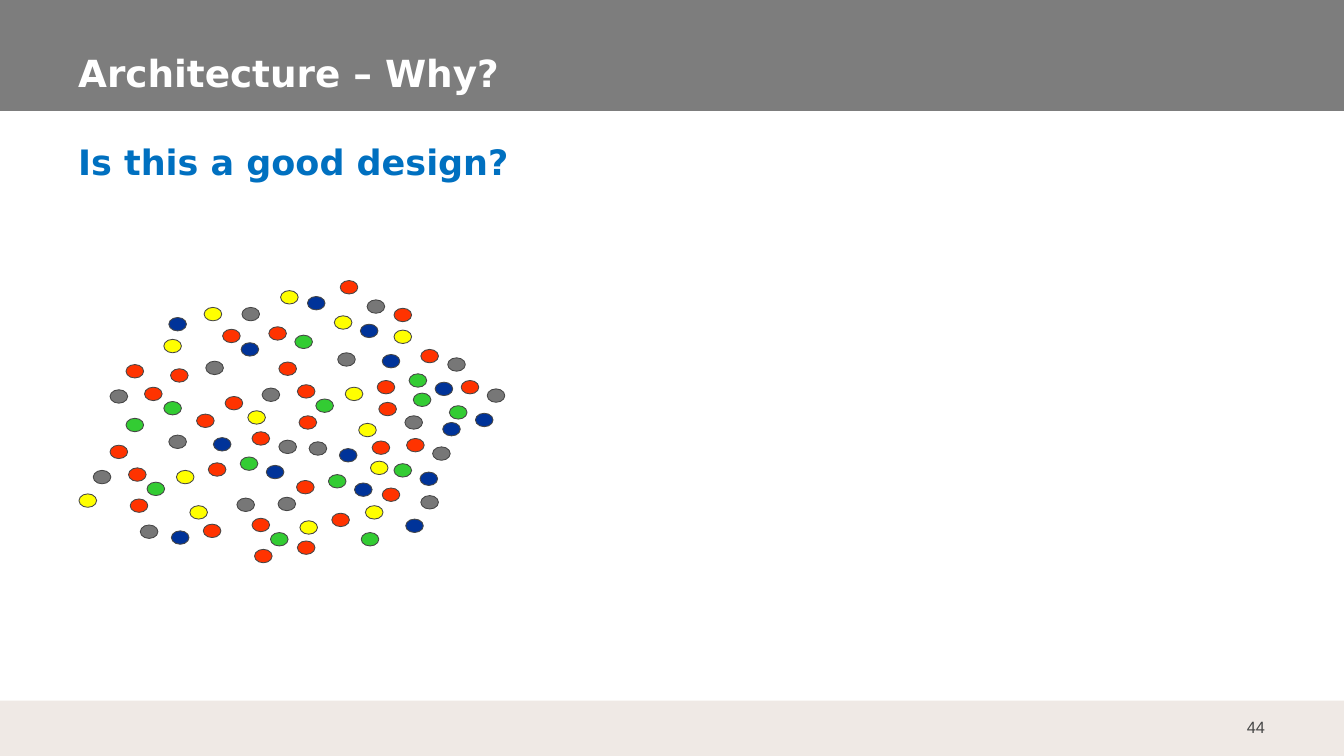
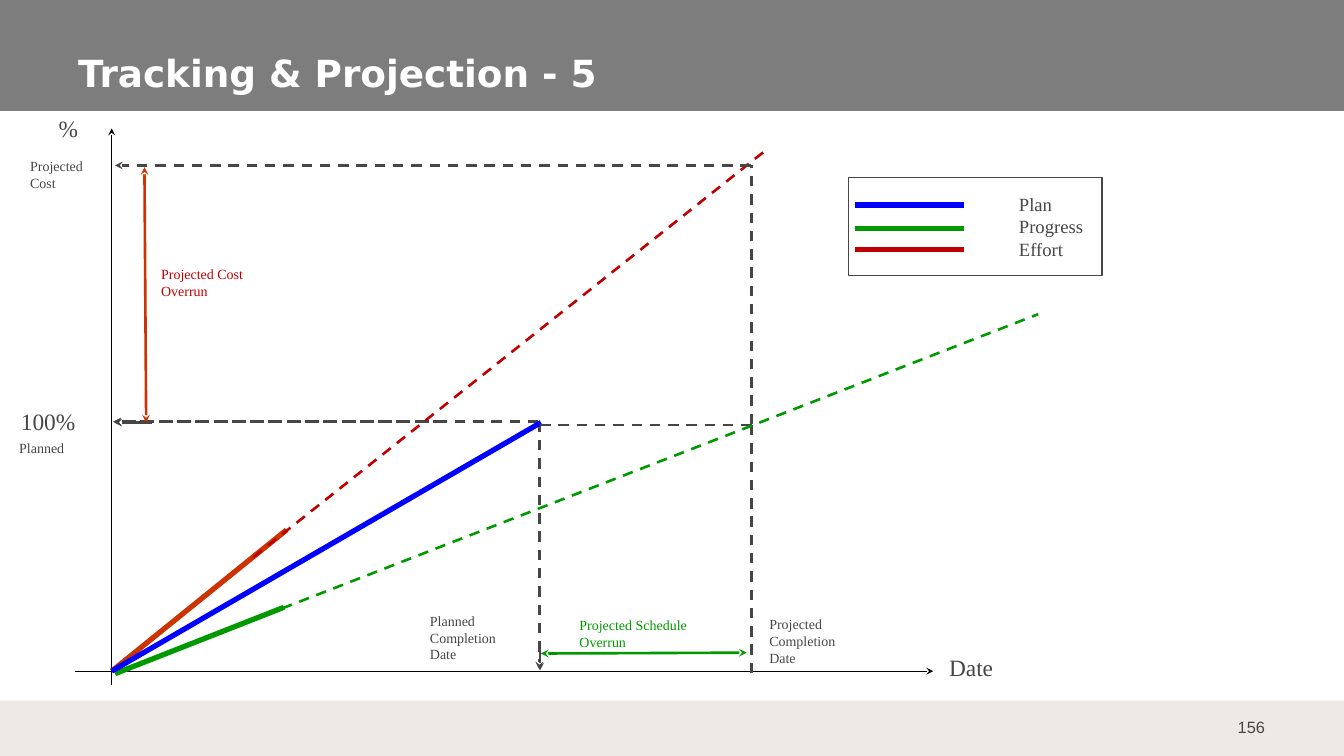
from lxml.etree import SubElement
from pptx import Presentation
from pptx.dml.color import RGBColor
from pptx.enum.dml import MSO_LINE
from pptx.enum.shapes import MSO_CONNECTOR, MSO_SHAPE
from pptx.enum.text import MSO_ANCHOR as ANCHOR, PP_ALIGN as ALIGN
from pptx.oxml.ns import qn
from pptx.util import Pt

PX = 9144
COLORS = {
    "band": "7D7D7D", "footer": "EFE9E5", "white": "FFFFFF", "text": "464646",
    "heading": "0070C0", "black": "000000", "plan": "0000FF",
    "progress": "009900", "effort": "C00000", "overrun": "CC3300",
    "navy": "003399", "gray": "777777", "red": "FF3300",
    "yellow": "FFFF00", "green": "33CC33",
}
TITLE_FONT, NUMBER_FONT, LABEL_FONT = "DejaVu Sans", "Arial", "Times New Roman"
WIDE = (14, 7, 14, 7)
NORMAL = (10, 5, 10, 5)

DOTS = {
    "navy": [
        (201, 378), (287, 408), (404, 534), (366, 353), (429, 386), (455, 422),
        (518, 455), (204, 632), (254, 521), (317, 554), (422, 575), (500, 562),
        (566, 492), (527, 503), (483, 618)],
    "gray": [
        (288, 366), (245, 430), (402, 420), (312, 462), (368, 526), (482, 495),
        (533, 426), (437, 357), (201, 518), (111, 560), (167, 625), (282, 593),
        (332, 524), (131, 464), (331, 592), (515, 532), (580, 463), (501, 590)],
    "red": [
        (265, 392), (320, 389), (203, 439), (449, 453), (268, 472), (354, 458),
        (332, 431), (356, 495), (443, 525), (501, 416), (405, 334), (469, 367),
        (248, 551), (153, 557), (131, 530), (155, 594), (242, 624), (300, 514),
        (172, 461), (150, 434), (234, 493), (353, 572), (395, 611), (300, 617),
        (303, 654), (484, 522), (451, 479), (549, 453), (455, 581), (354, 644)],
    "yellow": [
        (195, 404), (243, 366), (334, 346), (295, 489), (427, 504), (398, 376),
        (469, 393), (94, 588), (210, 560), (226, 602), (357, 620), (441, 549),
        (411, 461), (435, 602)],
    "green": [
        (351, 399), (376, 475), (487, 445), (150, 498), (175, 574), (286, 544),
        (195, 478), (391, 565), (322, 634), (469, 552), (535, 483), (492, 468),
        (430, 634)],
}


def rgb(name):
    return RGBColor.from_string(COLORS[name])


class Deck:
    def __init__(self):
        self.prs = Presentation()
        self.prs.slide_width = 1600 * PX
        self.prs.slide_height = 900 * PX
        self.s = None

    def slide(self, title, number):
        self.s = self.prs.slides.add_slide(self.prs.slide_layouts[6])
        self.shape(0, 0, 1600, 132, "band")
        self.shape(0, 834, 1600, 66, "footer")
        self.text(1440, 842, 80, 48, number, 14, font=NUMBER_FONT,
                  insets=WIDE, anchor=ANCHOR.MIDDLE, align=ALIGN.RIGHT)
        self.text(79, 46, 1421, 74, title, 32, "white", TITLE_FONT,
                  True, WIDE, ANCHOR.BOTTOM)

    def shape(self, x, y, w, h, fill=None, line=None, weight=1,
              kind=MSO_SHAPE.RECTANGLE):
        sp = self.s.shapes.add_shape(kind, x * PX, y * PX, w * PX, h * PX)
        sp.shadow.inherit = False
        if fill:
            sp.fill.solid()
            sp.fill.fore_color.rgb = rgb(fill)
        else:
            sp.fill.background()
        if line:
            sp.line.color.rgb = rgb(line)
            sp.line.width = Pt(weight)
        else:
            sp.line.fill.background()
        return sp

    def text(self, x, y, w, h, text, size, color="text", font=LABEL_FONT,
             bold=False, insets=NORMAL, anchor=ANCHOR.TOP, align=ALIGN.LEFT):
        sp = self.s.shapes.add_textbox(x * PX, y * PX, w * PX, h * PX)
        self.set_text(sp.text_frame, text, size, color, font, bold, insets,
                      anchor, align)

    def set_text(self, tf, text, size, color="text", font=LABEL_FONT,
                 bold=False, insets=NORMAL, anchor=ANCHOR.MIDDLE,
                 align=ALIGN.LEFT):
        tf.word_wrap = True
        tf.vertical_anchor = anchor
        (tf.margin_left, tf.margin_top,
         tf.margin_right, tf.margin_bottom) = (v * PX for v in insets)
        tf.text = text
        for p in tf.paragraphs:
            p.alignment = align
            for r in p.runs:
                r.font.name = font
                r.font.size = Pt(size)
                r.font.bold = bold
                r.font.color.rgb = rgb(color)

    def line(self, x1, y1, x2, y2, color="text", weight=2.25, dash=False,
             ends=()):
        cx = self.s.shapes.add_connector(
            MSO_CONNECTOR.STRAIGHT, x1 * PX, y1 * PX, x2 * PX, y2 * PX)
        cx.line.color.rgb = rgb(color)
        cx.line.width = Pt(weight)
        if dash:
            cx.line.dash_style = MSO_LINE.DASH
        props = cx._element.spPr
        for end in ends:
            SubElement(props.find(qn("a:ln")), qn(f"a:{end}End"), type="stealth")
        SubElement(props, qn("a:effectLst"))

    def arrow(self, *points, **style):
        self.line(*points, ends=("tail",), **style)

    def double_arrow(self, *points, **style):
        self.line(*points, ends=("head", "tail"), **style)

    def dot(self, x, y, color):
        self.shape(x, y, 21, 16, color, "text", 0.75, MSO_SHAPE.OVAL)

    def legend(self, x, y, w, h, entries):
        sp = self.shape(x, y, w, h, line="text")
        self.set_text(sp.text_frame, "\n".join(name for name, _, _ in entries),
                      16, insets=(203, 5, 10, 5))
        for _, color, line_y in entries:
            self.line(x + 8, line_y, x + 138, line_y, color, 4.5)


def architecture(deck):
    deck.slide("Architecture – Why?", "44")
    for color, places in DOTS.items():
        for x, y in places:
            deck.dot(x, y, color)
    deck.text(79, 160, 1417, 58, "Is this a good design?", 30, "heading",
              TITLE_FONT, True, WIDE)


def tracking(deck):
    deck.slide("Tracking & Projection - 5", "156")

    deck.arrow(641, 502, 135, 502, dash=True)
    deck.arrow(133, 816, 133, 153, color="black", weight=0.75)
    deck.arrow(89, 799, 1111, 799, color="black", weight=0.75)
    deck.line(137, 802, 338, 723, "progress", 4.5)
    deck.line(133, 799, 341, 631, "overrun", 4.5)

    deck.legend(1010, 211, 302, 117, [
        ("Plan", "plan", 244),
        ("Progress", "progress", 272),
        ("Effort", "effort", 297)])

    deck.arrow(642, 502, 642, 797, dash=True)
    deck.arrow(643, 764, 643, 798)
    deck.arrow(528, 502, 135, 502, dash=True)
    deck.arrow(181, 503, 136, 503)
    deck.line(133, 799, 644, 503, "plan", 4.5)
    deck.line(643, 506, 901, 506, dash=True)
    deck.line(895, 506, 895, 802, dash=True)
    deck.double_arrow(889, 777, 644, 778, color="progress")
    deck.line(275, 748, 1236, 374, "progress", dash=True)
    deck.line(302, 663, 909, 181, "effort", dash=True)
    deck.line(895, 505, 895, 196, dash=True)
    deck.arrow(894, 197, 137, 197, dash=True)
    deck.double_arrow(174, 503, 172, 199, color="overrun")

    for x, y, w, h, label, size, color in [
            (1120, 773, 97, 43, "Date", 20, "text"),
            (60, 131, 57, 43, "%", 20, "text"),
            (15, 480, 160, 43, "100%", 20, "text"),
            (13, 518, 171, 30, "Planned", 12, "text"),
            (502, 724, 171, 70, "Planned\vCompletion\vDate", 12, "text"),
            (680, 729, 284, 50, "Projected Schedule\vOverrun", 12, "progress"),
            (906, 728, 171, 70, "Projected\vCompletion\vDate", 12, "text"),
            (182, 311, 171, 50, "Projected Cost\vOverrun", 12, "effort"),
            (26, 183, 171, 50, "Projected\vCost", 12, "text")]:
        deck.text(x, y, w, h, label, size, color)


def main():
    deck = Deck()
    architecture(deck)
    tracking(deck)
    deck.prs.save("out.pptx")


if __name__ == "__main__":
    main()
